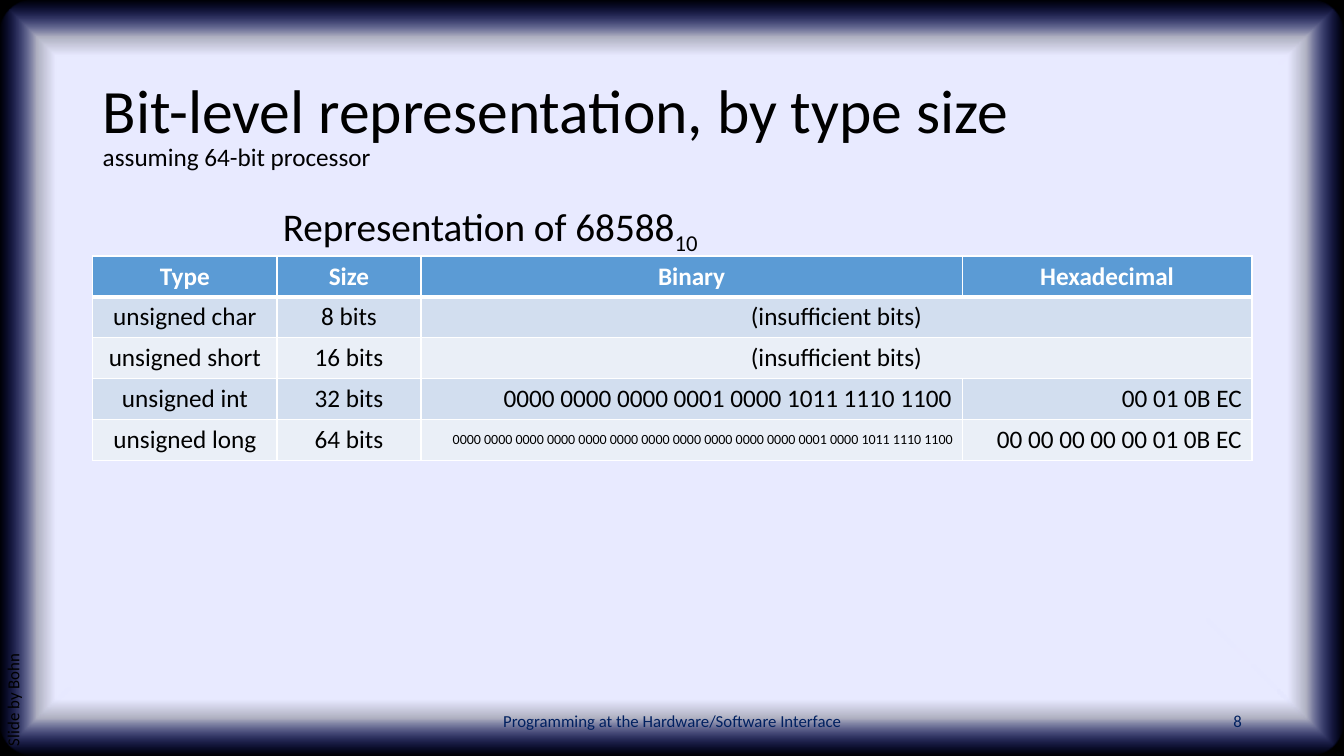
from lxml import etree
from pptx import Presentation
from pptx.dml.color import RGBColor
from pptx.enum.shapes import MSO_SHAPE
from pptx.enum.text import MSO_ANCHOR, MSO_AUTO_SIZE, PP_ALIGN
from pptx.oxml import parse_xml
from pptx.util import Cm, Pt

FONT = "Calibri"
BLACK = RGBColor(0x00, 0x00, 0x00)
WHITE = RGBColor(0xFF, 0xFF, 0xFF)
NAVY = RGBColor(0x00, 0x20, 0x60)
LAVENDER = RGBColor(0xE8, 0xEA, 0xFF)
GLOW_BLUE = RGBColor(0x16, 0x2A, 0xFF)
HEADER_BLUE = RGBColor(0x5B, 0x9B, 0xD5)
BANDS = [RGBColor(0xD2, 0xDE, 0xEF), RGBColor(0xEA, 0xEF, 0xF7)]
DRAWING = "http://schemas.openxmlformats.org/drawingml/2006/main"

WIDTH, HEIGHT = 33.87, 19.05
MARGIN, CONTENT_WIDTH = 2.34, 29.21
FOOTER_TOP, LINE_HEIGHT = 17.65, 1.02

COLUMN_WIDTHS = [4.64, 3.63, 13.64, 7.3]
ROW_HEIGHT = 1.03
INSUFFICIENT = "(insufficient bits)"
ROWS = [
    ["Type", "Size", "Binary", "Hexadecimal"],
    ["unsigned char", "8 bits", INSUFFICIENT, ""],
    ["unsigned short", "16 bits", INSUFFICIENT, ""],
    ["unsigned int", "32 bits", "0000 0000 0000 0001 0000 1011 1110 1100", "00 01 0B EC"],
    ["unsigned long", "64 bits",
     "0000 0000 0000 0000 0000 0000 0000 0000 "
     "0000 0000 0000 0001 0000 1011 1110 1100", "00 00 00 00 00 01 0B EC"],
]


def write(paragraph, text, size, color=BLACK, bold=False):
    run = paragraph.add_run()
    run.text = text
    run.font.color.rgb = color
    formats = {"name": FONT, "size": Pt(size), "bold": bold}
    for name, value in formats.items():
        setattr(run.font, name, value)
    return run


def add_backdrop(slide, left, top, width, height):
    box = [Cm(length) for length in (left, top, width, height)]
    for kind in (MSO_SHAPE.RECTANGLE, MSO_SHAPE.ROUNDED_RECTANGLE):
        shape = slide.shapes.add_shape(kind, *box)
        shape.shadow.inherit = False
        shape.line.fill.background()
        shape.fill.solid()
        shape.fill.fore_color.rgb = BLACK
    shape.adjustments[0] = 0.048

    # Glow that fades out towards the edges
    stops = "".join(
        f'<a:gs pos="{position * 1000}"><a:srgbClr val="{color}">'
        f'<a:alpha val="{alpha * 1000}"/></a:srgbClr></a:gs>'
        for position, color, alpha in [(85, LAVENDER, 100), (90, LAVENDER, 75), (100, GLOW_BLUE, 0)])
    gradient = parse_xml(
        f'<a:gradFill xmlns:a="{DRAWING}" rotWithShape="1"><a:gsLst>{stops}</a:gsLst>'
        '<a:path path="shape"><a:fillToRect l="50000" t="50000" r="50000" b="50000"/>'
        '</a:path></a:gradFill>')
    solid = shape.element.spPr.find(f"{{{DRAWING}}}solidFill")
    solid.getparent().replace(solid, gradient)


def place_title(slide, text, left, top, width, height):
    title = slide.shapes.title
    box = {"left": left, "top": top, "width": width, "height": height}
    for name, value in box.items():
        setattr(title, name, Cm(value))
    frame = title.text_frame
    frame.auto_size = MSO_AUTO_SIZE.NONE
    frame.vertical_anchor = MSO_ANCHOR.MIDDLE
    paragraph = frame.paragraphs[0]
    paragraph.alignment = PP_ALIGN.LEFT
    paragraph.line_spacing = 0.9
    write(paragraph, text, 44)
    # Bring the title in front of the backdrop
    title.element.getparent().append(title.element)


def add_label(slide, text, size, left, top, width, height, color=BLACK,
              align=PP_ALIGN.LEFT, anchor=MSO_ANCHOR.TOP, wrap=True, rotation=0):
    shape = slide.shapes.add_textbox(Cm(left), Cm(top), Cm(width), Cm(height))
    shape.rotation = rotation
    formats = {"word_wrap": wrap, "vertical_anchor": anchor}
    for name, value in formats.items():
        setattr(shape.text_frame, name, value)
    paragraph = shape.text_frame.paragraphs[0]
    paragraph.alignment = align
    write(paragraph, text, size, color)
    return paragraph


def set_borders(cell, top, bottom):
    properties = cell._tc.get_or_add_tcPr()
    sides = {"lnL": 1, "lnR": 1, "lnT": top, "lnB": bottom}
    for index, (side, points) in enumerate(sides.items()):
        line = etree.Element(f"{{{DRAWING}}}{side}", w=str(Pt(points)))
        fill = etree.SubElement(line, f"{{{DRAWING}}}solidFill")
        etree.SubElement(fill, f"{{{DRAWING}}}srgbClr", val=str(WHITE))
        properties.insert(index, line)


def add_type_table(slide, left, top, width):
    table = slide.shapes.add_table(
        len(ROWS), len(COLUMN_WIDTHS), Cm(left), Cm(top), Cm(width),
        Cm(ROW_HEIGHT * len(ROWS))).table
    for column, column_width in zip(table.columns, COLUMN_WIDTHS):
        column.width = Cm(column_width)

    for row, texts in enumerate(ROWS):
        table.rows[row].height = Cm(ROW_HEIGHT)
        header = row == 0
        for column, text in enumerate(texts):
            cell = table.cell(row, column)
            cell.fill.solid()
            cell.fill.fore_color.rgb = HEADER_BLUE if header else BANDS[(row - 1) % 2]
            set_borders(cell, top=3 if row == 1 else 1, bottom=3 if header else 1)
            if not text:
                continue
            number = column >= 2 and not header and text != INSUFFICIENT
            long_number = len(text) > 40
            paragraph = cell.text_frame.paragraphs[0]
            paragraph.alignment = PP_ALIGN.RIGHT if number else PP_ALIGN.CENTER
            if long_number:
                cell.vertical_anchor = MSO_ANCHOR.MIDDLE
            write(paragraph, text, 10 if long_number else 18,
                  WHITE if header else BLACK, header)
        if INSUFFICIENT in texts:
            table.cell(row, 2).merge(table.cell(row, 3))


def add_footer(slide, left, top, width, height):
    middle, number_width = 11.43, 7.62
    style = {"color": NAVY, "anchor": MSO_ANCHOR.MIDDLE}
    add_label(slide, "Programming at the Hardware/Software Interface", 12,
              left + (width - middle) / 2, top, middle, height,
              align=PP_ALIGN.CENTER, **style)
    add_label(slide, "8", 12, left + width - number_width, top, number_width, height,
              align=PP_ALIGN.RIGHT, **style)


def add_side_credit(slide, left, top, width, height):
    # The box is turned about its centre, so its sides are swapped
    paragraph = add_label(slide, "Slide by Bohn", 12, left + (width - height) / 2,
                          top + (height - width) / 2, height, width, rotation=270)
    paragraph.line_spacing = 0.9
    paragraph.space_before = Pt(10)


def build_type_size_slide(presentation):
    slide = presentation.slides.add_slide(presentation.slide_layouts[5])
    add_backdrop(slide, 0, 0, WIDTH, HEIGHT)
    place_title(slide, "Bit-level representation, by type size",
                MARGIN, 1.02, CONTENT_WIDTH, 3.68)
    add_type_table(slide, MARGIN, 6.45, CONTENT_WIDTH)
    add_footer(slide, MARGIN, FOOTER_TOP, CONTENT_WIDTH, LINE_HEIGHT)
    add_side_credit(slide, 0, 5.64, LINE_HEIGHT, 13.41)

    # Table caption with a subscript base, and the subtitle
    caption = add_label(slide, "Representation of 68588", 28, 6.88, 4.98, 11.18, 1.45, wrap=False)
    base = write(caption, "10", 28)
    base.font._element.set("baseline", "-25000")
    add_label(slide, "assuming 64-bit processor", 18, MARGIN, 3.43, 7.39, LINE_HEIGHT, wrap=False)


def main():
    presentation = Presentation()
    presentation.slide_width = Cm(WIDTH)
    presentation.slide_height = Cm(HEIGHT)
    build_type_size_slide(presentation)
    presentation.save("out.pptx")


if __name__ == "__main__":
    main()
